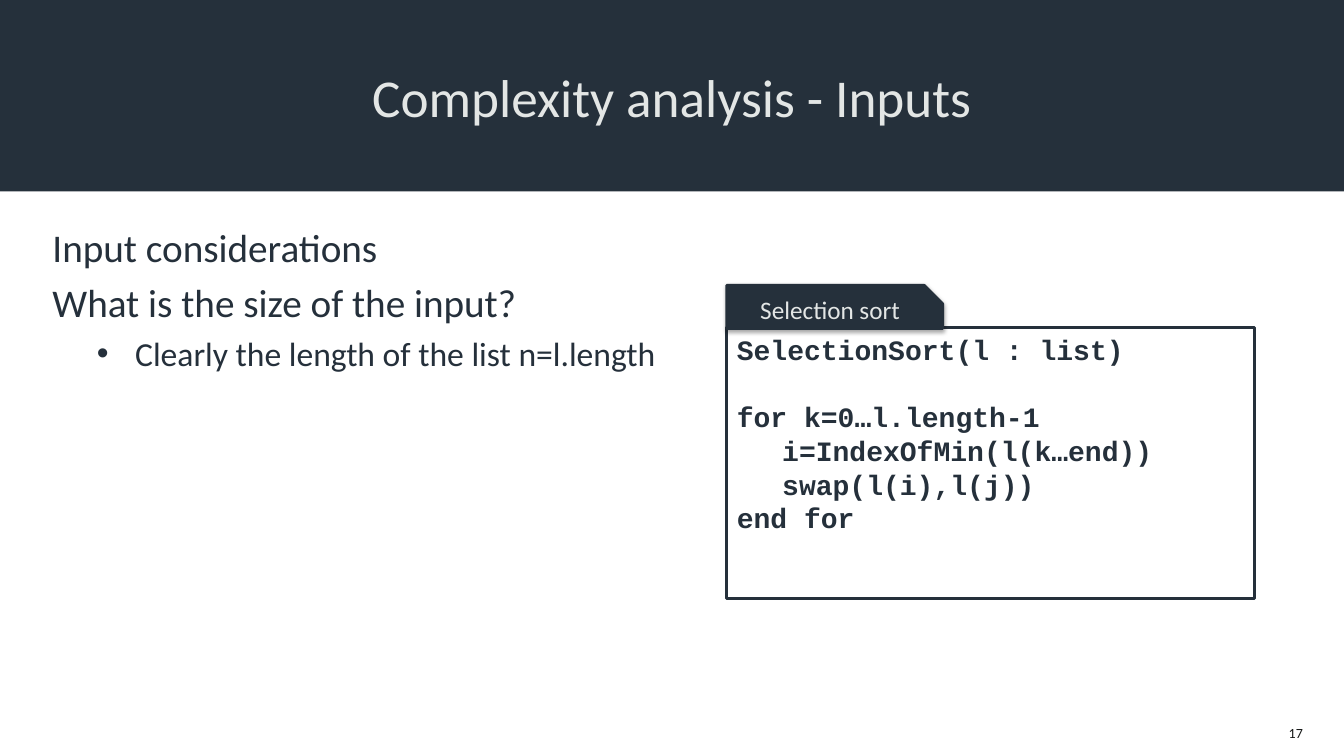
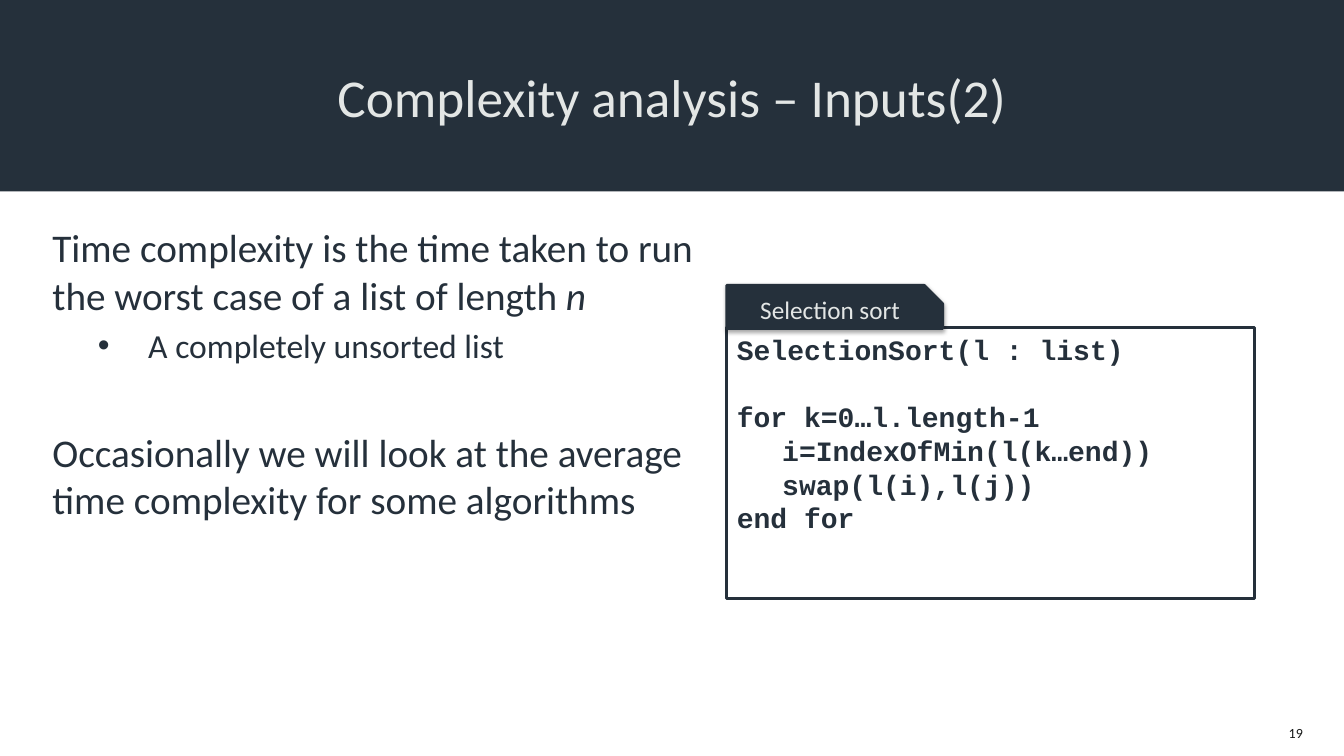
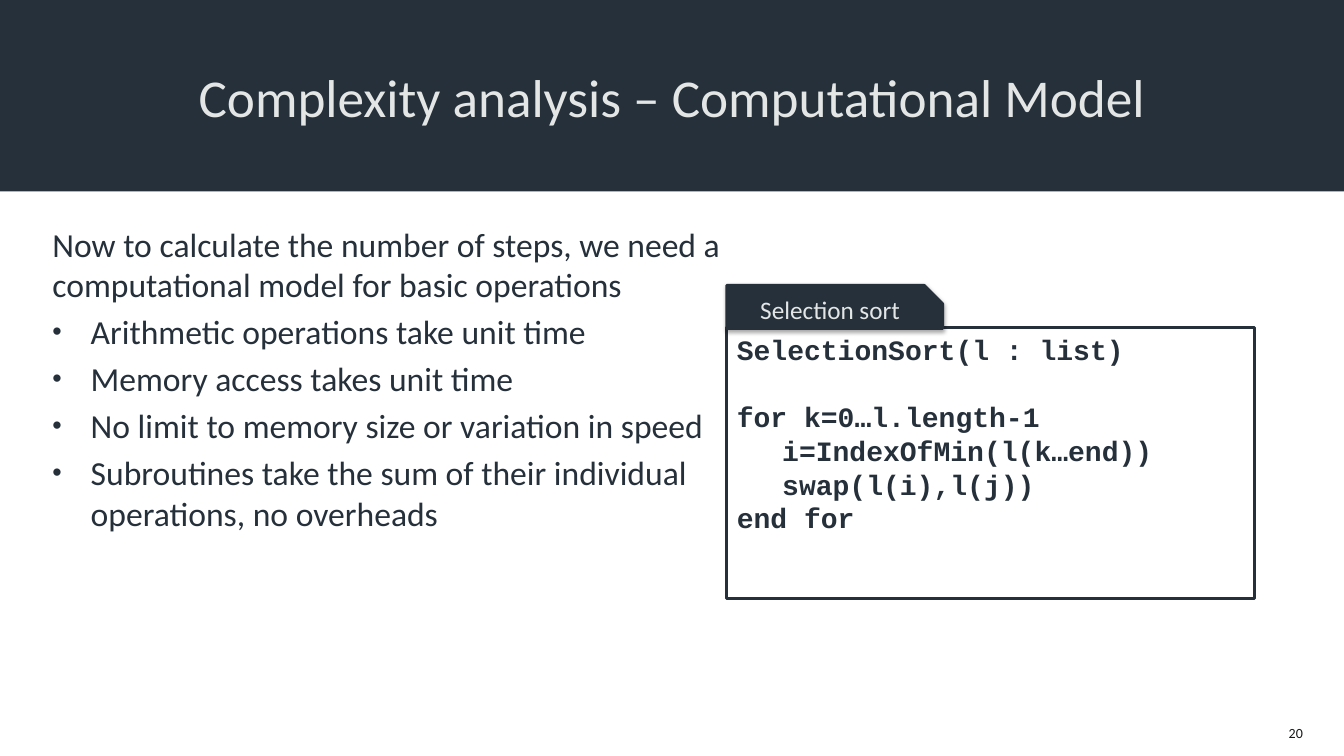
from lxml import etree
from pptx import Presentation
from pptx.dml.color import RGBColor
from pptx.enum.shapes import MSO_SHAPE
from pptx.enum.text import MSO_ANCHOR, PP_ALIGN
from pptx.oxml import parse_xml
from pptx.oxml.ns import nsdecls, qn
from pptx.util import Inches, Pt

RECTANGLE = MSO_SHAPE.RECTANGLE
SNIPPED = MSO_SHAPE.SNIP_1_RECTANGLE
TOP, MIDDLE = MSO_ANCHOR.TOP, MSO_ANCHOR.MIDDLE
LEFT, CENTER, RIGHT = PP_ALIGN.LEFT, PP_ALIGN.CENTER, PP_ALIGN.RIGHT

INK, PALE, WHITE, PAGE_INK = "25303B", "E3E6E5", "FFFFFF", "161817"
SANS, MONO = "Calibri", "Courier New"
SLIDE_WIDTH, SLIDE_HEIGHT = 13.33, 7.5
PLACEHOLDER_INSETS = (0.09, 0.04, 0.09, 0.04)
DEFAULT_INSETS = (0.1, 0.05, 0.1, 0.05)
CODE_LEFT, CODE_TOP, CODE_PITCH = 7.21, 3.25, 24
CODE_LINES = [
    ("SelectionSort(l : list)", 0, 0),
    ("for k=0…l.length-1", 0, 1),
    ("i=IndexOfMin(l(k…end))", 0.45, 0),
    ("swap(l(i),l(j))", 0.45, 0),
    ("end for", 0, 0),
]


def color(value):
    return RGBColor.from_string(value)


def style(paragraph, size, ink, font=SANS, bold=False, align=LEFT):
    paragraph.alignment = align
    for run in paragraph.runs:
        run.font.name = font
        run.font.size = Pt(size)
        run.font.bold = bold
        run.font.color.rgb = color(ink)


def set_frame(frame, insets, anchor=TOP):
    frame.word_wrap = True
    frame.vertical_anchor = anchor
    (frame.margin_left, frame.margin_top,
     frame.margin_right, frame.margin_bottom) = map(Inches, insets)


def add_panel(shapes, box, fill=None, line=None, preset=RECTANGLE):
    panel = shapes.add_shape(preset, *map(Inches, box))
    panel.shadow.inherit = False
    if fill:
        panel.fill.solid()
        panel.fill.fore_color.rgb = color(fill)
    else:
        panel.fill.background()
    if line:
        panel.line.color.rgb = color(line)
        panel.line.width = Pt(2)
    else:
        panel.line.fill.background()
    return panel


def set_indent(paragraph, margin, hanging=0.0):
    properties = paragraph._p.get_or_add_pPr()
    properties.set("marL", str(Inches(margin)))
    properties.set("indent", str(Inches(-hanging)))
    return properties


def add_bullet(paragraph, margin, hanging, percent):
    properties = set_indent(paragraph, margin, hanging)
    size = etree.SubElement(properties, qn("a:buSzPct"))
    size.set("val", str(percent * 1000))
    etree.SubElement(properties, qn("a:buFont")).set("typeface", "Arial")
    etree.SubElement(properties, qn("a:buChar")).set("char", "•")


def add_soft_shadow(panel):
    properties = panel._element.spPr
    properties.remove(properties.find(qn("a:effectLst")))
    properties.append(parse_xml(
        f'<a:effectLst {nsdecls("a")}>'
        f'<a:outerShdw blurRad="{Pt(3.1)}" dist="{Pt(1.8)}" dir="5400000" rotWithShape="0">'
        '<a:srgbClr val="000000"><a:alpha val="35000"/></a:srgbClr>'
        '</a:outerShdw></a:effectLst>'))


def add_title(slide, title):
    band = add_panel(slide.shapes, (0, 0, SLIDE_WIDTH, 1.9), fill=INK)
    set_frame(band.text_frame, PLACEHOLDER_INSETS, MIDDLE)
    band.text_frame.text = title
    style(band.text_frame.paragraphs[0], 38, PALE, align=CENTER)


def add_page_number(slide, number):
    footer = slide.shapes.add_textbox(*map(Inches, (12.27, 7.14, 0.75, 0.27)))
    set_frame(footer.text_frame, DEFAULT_INSETS)
    footer.text_frame.text = str(number)
    style(footer.text_frame.paragraphs[0], 10, PAGE_INK, align=RIGHT)


def add_body(slide, width, items):
    body = add_panel(slide.shapes, (0.43, 2.18, width, 4.54), fill=WHITE)
    frame = body.text_frame
    set_frame(frame, PLACEHOLDER_INSETS)
    frame.text = "\n".join(item["text"] for item in items)
    for paragraph, item in zip(frame.paragraphs, items):
        size = item["size"]
        if "italic" in item:
            paragraph.add_run().text = item["italic"]
            paragraph.runs[-1].font.italic = True
        style(paragraph, size, INK)
        paragraph.space_before = Pt(0.2 * size + item.get("gap", 0))
        if "bullet" in item:
            add_bullet(paragraph, *item["bullet"])


def add_code_card(slide, caption):
    card = slide.shapes.add_group_shape()
    listing = add_panel(card.shapes, (CODE_LEFT, CODE_TOP, 5.23, 2.69), line=INK)
    frame = listing.text_frame
    set_frame(frame, DEFAULT_INSETS)
    frame.text = "\n".join(text for text, _, _ in CODE_LINES)
    for paragraph, (_, indent, skipped) in zip(frame.paragraphs, CODE_LINES):
        style(paragraph, 20, INK, MONO, bold=True)
        paragraph.line_spacing = Pt(CODE_PITCH)
        paragraph.space_before = Pt(skipped * CODE_PITCH)
        set_indent(paragraph, indent)

    tab = add_panel(card.shapes, (CODE_LEFT, 2.83, 2.14, 0.43), INK, INK, SNIPPED)
    tab.adjustments[0] = 0.43
    add_soft_shadow(tab)
    set_frame(tab.text_frame, (0.1, 0, 0.1, 0.05), MIDDLE)
    tab.text_frame.text = caption
    style(tab.text_frame.paragraphs[0], 18, PALE, align=CENTER)


def main():
    deck = Presentation()
    deck.slide_width = Inches(SLIDE_WIDTH)
    deck.slide_height = Inches(SLIDE_HEIGHT)

    rules = [
        "Arithmetic operations take unit time",
        "Memory access takes unit time",
        "No limit to memory size or variation in speed",
        "Subroutines take the sum of their individual operations, no overheads",
    ]
    pages = [
        (17, "Complexity analysis - Inputs", 9.32, [
            {"text": "Input considerations", "size": 28},
            {"text": "What is the size of the input?", "size": 28},
            {"text": "Clearly the length of the list n=l.length", "size": 24,
             "bullet": (0.82, 0.38, 100)},
        ]),
        (19, "Complexity analysis – Inputs(2)", 6.98, [
            {"text": "Time complexity is the time taken to run the worst case "
                     "of a list of length ", "italic": "n", "size": 28},
            {"text": "A completely unsorted list", "size": 24,
             "bullet": (0.95, 0.5, 100)},
            {"text": "Occasionally we will look at the average time complexity "
                     "for some algorithms", "size": 28, "gap": 39.8},
        ]),
        (20, "Complexity analysis – Computational Model", 6.98, [
            {"text": "Now to calculate the number of steps, we need a "
                     "computational model for basic operations", "size": 24},
            *({"text": rule, "size": 24, "bullet": (0.38, 0.38, 80)}
              for rule in rules),
        ]),
    ]
    for number, title, body_width, items in pages:
        slide = deck.slides.add_slide(deck.slide_layouts[6])
        add_page_number(slide, number)
        add_title(slide, title)
        add_body(slide, body_width, items)
        add_code_card(slide, "Selection sort")
    deck.save("out.pptx")


if __name__ == "__main__":
    main()
